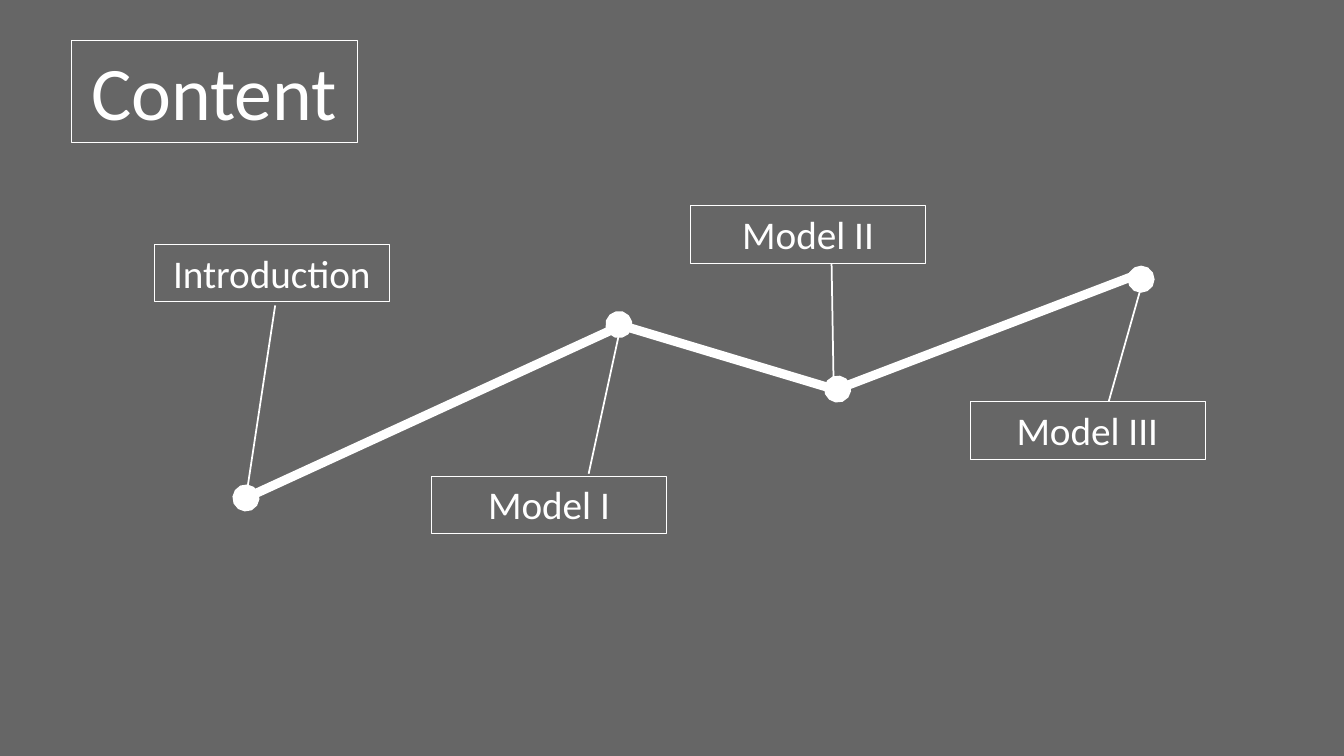
from lxml.etree import SubElement
from pptx import Presentation
from pptx.dml.color import RGBColor
from pptx.enum.shapes import MSO_CONNECTOR
from pptx.enum.text import MSO_AUTO_SIZE, PP_ALIGN
from pptx.oxml.ns import qn
from pptx.util import Inches, Pt

COLORS = {"background": "666666", "foreground": "FFFFFF"}
FONT = "Calibri"
COLUMNS, ROWS = 40, 22.5
LABEL_SIZE = (7, 1.72)

# Each segment carries a dot at its start.
PATH_SEGMENTS = [
    ((7.32, 14.82), (18.75, 9.57)),
    ((18.42, 9.66), (24.81, 11.58)),
    ((24.93, 11.58), (33.96, 8.13)),
    ((33.96, 8.31), (33.81, 8.22)),
]

# Label text, label corner, leader start, leader end.
STATIONS = [
    ("Introduction", (4.59, 7.26), (7.32, 14.82), (8.19, 9.09)),
    ("Model I", (12.84, 14.16), (17.52, 14.1), (18.42, 9.96)),
    ("Model II", (20.55, 6.12), (24.81, 11.43), (24.75, 7.83)),
    ("Model III", (28.86, 11.94), (33, 11.94), (33.96, 8.55)),
]


class SlideBuilder:
    """Draws on one slide, with lengths in grid columns and rows."""

    def __init__(self, presentation):
        self.column = presentation.slide_width / COLUMNS
        self.row = presentation.slide_height / ROWS
        self.slide = presentation.slides.add_slide(presentation.slide_layouts[6])
        self.foreground = RGBColor.from_string(COLORS["foreground"])
        fill = self.slide.background.fill
        fill.solid()
        fill.fore_color.rgb = RGBColor.from_string(COLORS["background"])

    def scale(self, pair):
        return round(pair[0] * self.column), round(pair[1] * self.row)

    def group(self):
        return self.slide.shapes.add_group_shape()

    def framed_text(self, text, corner, size, points):
        shape = self.slide.shapes.add_textbox(*self.scale(corner), *self.scale(size))
        shape.line.color.rgb = self.foreground
        shape.line.width = Pt(0.25)
        frame = shape.text_frame
        frame.word_wrap = True
        frame.auto_size = MSO_AUTO_SIZE.SHAPE_TO_FIT_TEXT
        paragraph = frame.paragraphs[0]
        paragraph.text = text
        paragraph.alignment = PP_ALIGN.CENTER
        paragraph.font.name = FONT
        paragraph.font.size = Pt(points)
        paragraph.font.color.rgb = self.foreground

    def line(self, start, end, points, dotted_start=False, group=None):
        """Draw a straight line, optionally with a round dot at its start."""
        shapes = group.shapes if group else self.slide.shapes
        connector = shapes.add_connector(
            MSO_CONNECTOR.STRAIGHT, *self.scale(start), *self.scale(end))
        connector.line.color.rgb = self.foreground
        connector.line.width = Pt(points)
        if dotted_start:
            SubElement(connector.line._get_or_add_ln(), qn("a:headEnd"), type="oval")
        SubElement(connector._element.spPr, qn("a:effectLst"))


def main():
    presentation = Presentation()
    presentation.slide_width = Inches(13.33)
    presentation.slide_height = Inches(7.5)
    builder = SlideBuilder(presentation)

    builder.framed_text("Content", (2.13, 1.2), (8.49, 3.03), 54)
    path_group = builder.group()
    for start, end in PATH_SEGMENTS:
        builder.line(start, end, 6.5, dotted_start=True, group=path_group)
    for text, corner, leader_start, leader_end in STATIONS:
        builder.line(leader_start, leader_end, 1.25)
        builder.framed_text(text, corner, LABEL_SIZE, 28)

    presentation.save("out.pptx")


if __name__ == "__main__":
    main()
